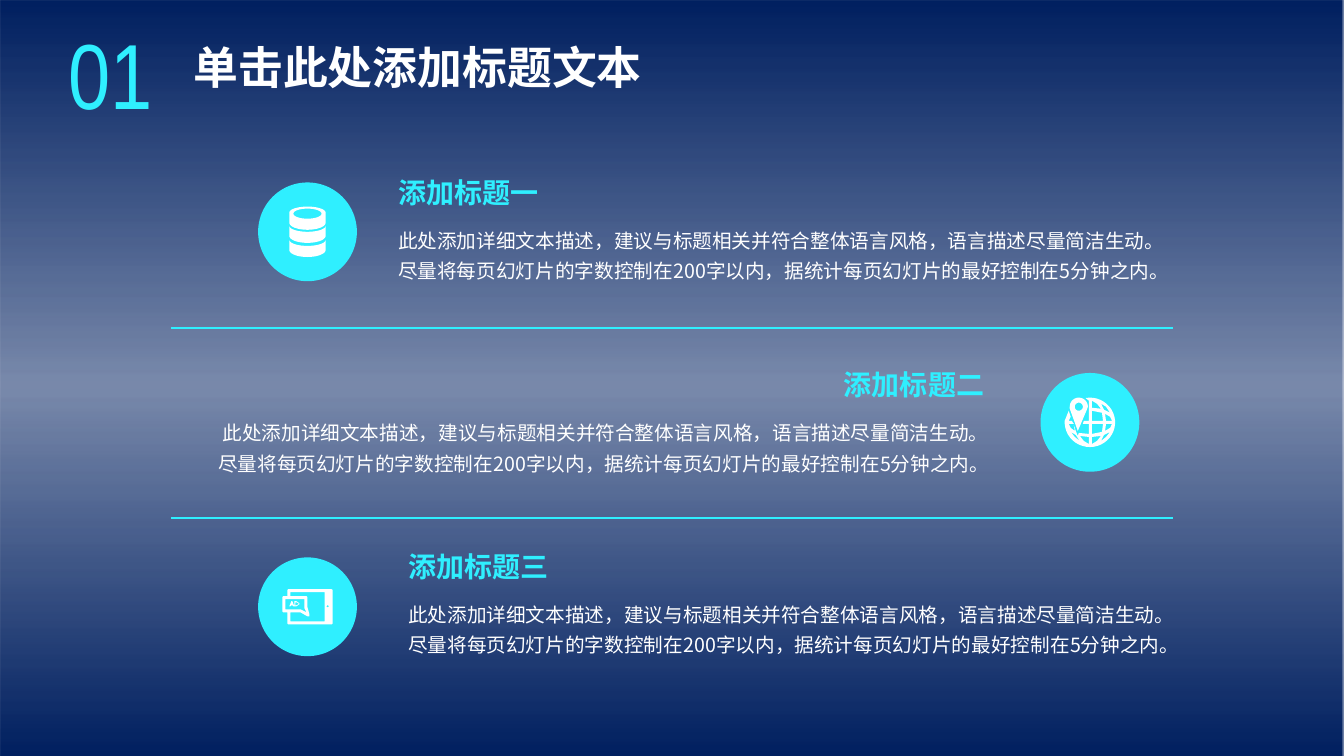
from copy import deepcopy
from math import cos, radians, sin

from lxml.etree import SubElement
from pptx import Presentation
from pptx.dml.color import RGBColor
from pptx.enum.shapes import MSO_CONNECTOR as Connector, MSO_SHAPE as Shape
from pptx.enum.text import MSO_AUTO_SIZE as AutoSize, PP_ALIGN as Align
from pptx.oxml.ns import qn
from pptx.util import Emu, Pt

NAVY = RGBColor(0x00, 0x20, 0x60)
CYAN = RGBColor(0x2F, 0xEF, 0xFF)
WHITE = RGBColor(0xFF, 0xFF, 0xFF)
CJK_FONT = "Noto Sans CJK SC"
NUMBER_FONT = "Arial Narrow"

EMU_PER_PX = 9144  # 100 px to the inch
SLIDE_W, SLIDE_H = 1333, 750
DISC = 98
DESCRIPTION = (
    "此处添加详细文本描述，建议与标题相关并符合整体语言风格，语言描述尽量简洁生动。"
    "尽量将每页幻灯片的字数控制在200字以内，据统计每页幻灯片的最好控制在5分钟之内。"
)


def px(length):
    return Emu(round(length * EMU_PER_PX))


def add_text(slide, box, text, size, color, font=CJK_FONT, bold=False,
             align=Align.LEFT, spacing=None):
    frame = slide.shapes.add_textbox(*map(px, box)).text_frame
    frame.word_wrap = True
    frame.auto_size = AutoSize.SHAPE_TO_FIT_TEXT
    frame.text = text
    paragraph = frame.paragraphs[0]
    paragraph.alignment = align
    paragraph.line_spacing = spacing
    run = paragraph.runs[0]
    run.font.name = font
    run.font.size = Pt(size)
    run.font.bold = bold
    run.font.color.rgb = color
    SubElement(run.font._element, qn("a:ea")).set("typeface", font)


def add_plain_shape(slide, kind, box):
    shape = slide.shapes.add_shape(kind, *map(px, box))
    shape.shadow.inherit = False
    shape.line.fill.background()
    return shape


# Icon outlines: each returns its size and a list of closed contours in px
def arc(cx, cy, rx, ry, start=0, end=360, steps=32):
    angles = [radians(start + (end - start) * i / steps) for i in range(steps + 1)]
    return [(cx + rx * cos(a), cy + ry * sin(a)) for a in angles]


def database_icon():
    lid = arc(18, 6, 18, 6, 180, 360) + arc(18, 16, 18, 7, 0, 180)
    opening = arc(18, 7, 14, 5)
    bands = [arc(18, top, 18, 6, 180, 0) + arc(18, top + 10, 18, 7, 0, 180)
             for top in (19, 33)]
    return (36, 50), [lid, opening, *bands]


def globe_icon():
    globe = arc(25, 24.5, 25, 24.5, -100, 176) + [
        (0, 23), (4, 13), (6, 19), (4, 23), (7, 23), (9, 26), (4, 26), (6, 30),
        (10, 33), (9, 27), (11, 33), (13, 38), (14, 35), (24, 36), (24, 26),
        (18, 26), (19, 23), (24, 23), (24, 13), (24, 3)]
    gaps = [
        [(36, 38), (27, 39), (27, 46), (32, 43)],
        [(15, 38), (19, 43), (24, 46), (24, 39)],
        [(45, 34), (39, 37), (36, 43), (41, 39)],
        [(6, 34), (11, 37), (15, 43), (10, 39)],
        [(41, 26), (40, 33), (45, 30), (47, 26)],
        [(27, 26), (27, 36), (37, 34), (38, 26)],
        [(40, 16), (41, 23), (47, 23), (45, 19)],
        [(27, 13), (27, 23), (38, 23), (37, 15)],
        [(36, 6), (39, 12), (45, 15), (41, 9)],
        [(27, 3), (27, 10), (36, 11), (32, 6)],
    ]
    pin = arc(14, 9, 9, 9, 180, 360) + [(22, 12), (13, 33), (5, 11)]
    return (50, 49), [globe, *gaps, pin, arc(14, 9, 4, 4)]


def advert_icon():
    tablet = [(6, 0), (49, 0), (50, 1), (50, 34), (49, 35), (6, 35), (5, 34),
              (5, 23), (1, 23), (0, 22), (0, 8), (1, 7), (5, 7), (5, 1)]
    screen = [(8, 3), (8, 7), (24, 7), (25, 8), (25, 18), (27, 25), (27, 27),
              (25, 27), (18, 23), (8, 23), (8, 32), (42, 32), (42, 3)]
    bubble = [(3, 10), (3, 20), (18, 20), (24, 23), (22, 19), (22, 10)]
    letter_a = [(7, 17), (9, 12), (10, 12), (12, 17), (11, 17), (10, 16),
                (9, 16), (8, 17)]
    letter_d = [(12, 12), (14, 12), (17, 14), (17, 15), (14, 17), (12, 17)]
    d_opening = [(13, 13), (13, 16), (14, 16), (16, 15), (16, 14), (14, 13)]
    button = arc(45, 17, 1, 1)
    return (50, 35), [tablet, screen, bubble, letter_a, letter_d, d_opening, button]


def add_icon(slide, left, top, contours):
    placed = [[(px(left + x), px(top + y)) for x, y in c] for c in contours]
    builder = slide.shapes.build_freeform(*placed[0][0])
    builder.add_line_segments(placed[0][1:], close=True)
    for contour in placed[1:]:
        builder.move_to(*contour[0])
        builder.add_line_segments(contour[1:], close=True)
    icon = builder.convert_to_shape()
    icon.shadow.inherit = False
    icon.fill.solid()
    icon.fill.fore_color.rgb = WHITE
    icon.line.fill.background()


# Backdrop: navy, half transparent across the middle
def add_backdrop(slide, box):
    backdrop = add_plain_shape(slide, Shape.RECTANGLE, box)
    fill = backdrop.fill
    fill.gradient()
    fill.gradient_angle = 90
    for stop in fill.gradient_stops:
        stop.color.rgb = NAVY
        stop.color.brightness = 0
    stops = backdrop._element.spPr.find(".//" + qn("a:gsLst"))
    for stop in stops:
        for effect in list(stop[0]):
            stop[0].remove(effect)
    middle = deepcopy(stops[0])
    middle.set("pos", "49000")
    SubElement(middle[0], qn("a:alpha")).set("val", "52000")
    stops.insert(1, middle)


# Heading: section number and slide title
def add_heading(slide, box):
    left, top, width, height = box
    add_text(slide, (left, top, 121, height), "01", 66, CYAN, NUMBER_FONT,
             align=Align.CENTER)
    add_text(slide, (left + 133, top + 22, width - 133, 64),
             "单击此处添加标题文本", 32, WHITE, bold=True)


# Item: disc with icon, beside a title and its description
def add_item(slide, box, disc_at, title, icon, align=Align.LEFT):
    left, top, width, height = box
    disc = add_plain_shape(slide, Shape.OVAL, (*disc_at, DISC, DISC))
    disc.fill.solid()
    disc.fill.fore_color.rgb = CYAN
    (icon_w, icon_h), contours = icon
    add_icon(slide, disc_at[0] + (DISC - icon_w) / 2,
             disc_at[1] + (DISC - icon_h) / 2, contours)

    title_w = 391
    title_left = left + width - title_w - 5 if align == Align.RIGHT else left
    add_text(slide, (title_left, top, title_w, 44), title, 20, CYAN,
             bold=True, align=align)
    add_text(slide, (left, top + 46, width, height - 46), DESCRIPTION, 14, WHITE,
             align=align, spacing=1.3)


def add_divider(slide, left, right, y):
    divider = slide.shapes.add_connector(
        Connector.STRAIGHT, px(left), px(y), px(right), px(y))
    divider.line.color.rgb = CYAN
    divider.line.width = Pt(1.5)
    SubElement(divider._element.spPr, qn("a:effectLst"))


def main():
    deck = Presentation()
    deck.slide_width, deck.slide_height = px(SLIDE_W), px(SLIDE_H)
    slide = deck.slides.add_slide(deck.slide_layouts[6])
    add_backdrop(slide, (0, 0, SLIDE_W, SLIDE_H))
    add_heading(slide, (49, 12, 602, 121))
    add_item(slide, (385, 169, 790, 117), (256, 181), "添加标题一", database_icon())
    add_item(slide, (195, 360, 796, 117), (1032, 370), "添加标题二", globe_icon(),
             Align.RIGHT)
    add_item(slide, (395, 540, 779, 117), (256, 553), "添加标题三", advert_icon())
    for y in (325, 514):
        add_divider(slide, 170, 1163, y)
    deck.save("out.pptx")


if __name__ == "__main__":
    main()
